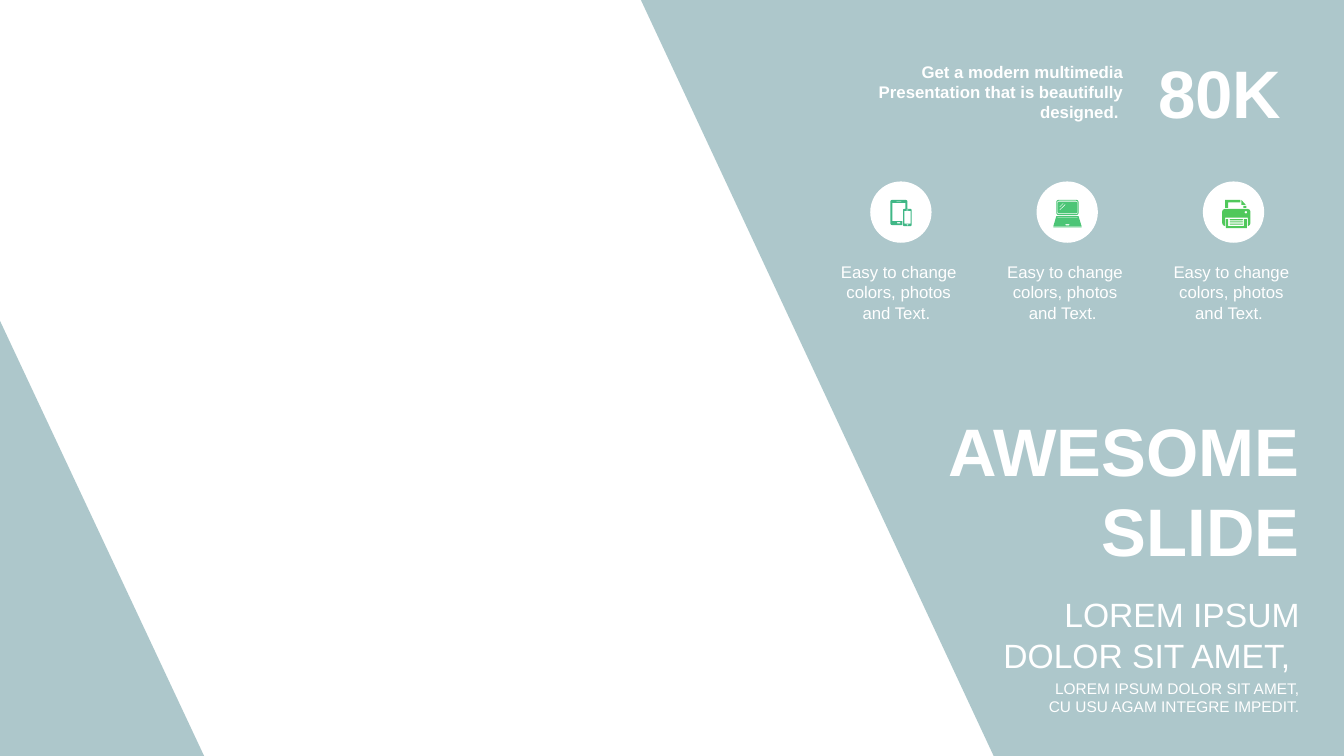
from math import cos, pi, sin

from lxml.etree import SubElement
from pptx import Presentation
from pptx.dml.color import RGBColor
from pptx.enum.shapes import MSO_SHAPE as Kind
from pptx.enum.text import MSO_ANCHOR as Anchor, MSO_AUTO_SIZE as Fit, PP_ALIGN as Align
from pptx.oxml.ns import qn
from pptx.util import Inches, Pt

WIDE, HIGH = Inches(13.333), Inches(7.5)
COLS, ROWS = 16, 9          # square grid cells
DOT = 0.012                 # icon unit, as a share of a cell
STEP = 1.98                 # columns from one feature to the next

HUES = {
    "teal": "32757F",
    "white": "FFFFFF",
    "tablet": "40B786",
    "laptop": "4CC576",
    "printer": "50C85B",
}


def col(n):
    return round(WIDE * n / COLS)


def row(n):
    return round(HIGH * n / ROWS)


def area(x, y, w, h):
    return col(x), row(y), col(w), row(h)


def paint(shape, hue, alpha=None):
    shape.shadow.inherit = False
    shape.line.fill.background()
    shape.fill.solid()
    shape.fill.fore_color.rgb = RGBColor.from_string(HUES[hue])
    if alpha:
        tint = shape.fill._xPr.find(qn("a:solidFill"))[0]
        SubElement(tint, qn("a:alpha")).set("val", str(alpha * 1000))


def solid(slide, kind, place, hue, alpha=None):
    shape = slide.shapes.add_shape(kind, *area(*place))
    paint(shape, hue, alpha)


def trace(slide, loops, hue, alpha=None):
    """Draw closed loops of grid points as one shape; inner loops are holes."""
    loops = [[(col(x), row(y)) for x, y in loop] for loop in loops]
    pen = slide.shapes.build_freeform(*loops[0][0], scale=1.0)
    for i, loop in enumerate(loops):
        if i:
            pen.move_to(*loop[0])
        pen.add_line_segments(loop[1:], close=True)
    paint(pen.convert_to_shape(), hue, alpha)


def write(slide, place, lines, size, bold=False, align=Align.RIGHT,
          anchor=Anchor.TOP, inset=(0.1, 0.05, 0.1, 0.05)):
    box = slide.shapes.add_textbox(*area(*place))
    frame = box.text_frame
    frame.word_wrap = True
    frame.auto_size = Fit.SHAPE_TO_FIT_TEXT
    frame.vertical_anchor = anchor
    (frame.margin_left, frame.margin_top,
     frame.margin_right, frame.margin_bottom) = map(Inches, inset)
    for i, line in enumerate(lines):
        para = frame.add_paragraph() if i else frame.paragraphs[0]
        para.alignment = align
        run = para.add_run()
        run.text = line
        font = run.font
        font.name, font.size, font.bold = "Arial", Pt(size), bold
        font.color.rgb = RGBColor.from_string(HUES["white"])


def block(l, t, r, b, rad=0):
    """Corner points of a box, with arcs where rad is given."""
    if not rad:
        return [(l, t), (r, t), (r, b), (l, b)]
    hubs = [(l + rad, t + rad), (r - rad, t + rad),
            (r - rad, b - rad), (l + rad, b - rad)]
    return [(x + rad * cos(pi * (1 + k / 2 + n / 8)),
             y + rad * sin(pi * (1 + k / 2 + n / 8)))
            for k, (x, y) in enumerate(hubs) for n in range(5)]


# Icon name, left offset in its circle, loops in icon units
ICONS = [
    ("tablet", 0.24, [
        [(0, 1.5), (0.5, 0.4), (1.5, 0), (15, 0), (16.5, 0.5), (17, 2),
         (17, 9), (15, 9), (15, 3), (2, 3), (2, 21), (12, 21), (12, 25),
         (1.5, 25), (0.4, 24.5), (0, 23.5)],
        block(6, 1.2, 11, 1.8, 0.3), block(6.5, 22.2, 10, 23.4, 0.5),
        block(12.6, 9, 21, 26, 1), block(13.8, 11, 20, 23.6),
        block(15.5, 9.8, 18, 10.4, 0.3), block(16, 24.3, 18, 25.2, 0.4),
    ]),
    ("laptop", 0.2, [
        block(3, 0, 25, 15, 2), block(3.8, 0.8, 24.2, 14.2, 1.7),
        block(4.4, 1.6, 23.6, 13.4, 1.4),
        [(6, 6.8), (9.7, 3), (10.2, 3.5), (6.5, 7.3)],
        [(6, 9.6), (11.7, 4.2), (12.3, 4.8), (6.6, 10.2)],
        [(3, 16), (25, 16), (28, 26), (0, 26)],
        block(4, 17, 24, 17.6), block(12, 24, 16, 25.2, 0.5),
        block(0, 26.6, 28, 27.3),
    ]),
    ("printer", 0.23, [
        [(3, 0), (18, 0), (18, 2.5), (6, 2.5), (6, 8), (3, 8)],
        [(19, 0), (23.5, 5), (19, 5)], block(21, 6, 24, 8),
        [(0, 11.5), (0.7, 9.7), (2.5, 9), (25.5, 9), (27.3, 9.7), (28, 11.5),
         (28, 23), (27.3, 25), (25.5, 26), (25.5, 17.5), (3, 17.5), (3, 26),
         (0.7, 25), (0, 23)],
        block(22.3, 11, 24.7, 13.4, 1.1),
        [(3.6, 19), (6, 19), (6, 26), (21.5, 26), (21.5, 19), (24.5, 19),
         (24.5, 28), (3.6, 28)],
        *[block(7.5, y, 20.5, y + 1.2, 0.5) for y in (19, 21.2, 23.4)],
    ]),
]


def feature(slide, i, name, inset, loops):
    left, top = 10.36 + i * STEP, 2.16
    solid(slide, Kind.OVAL, (left, top, 0.73, 0.73), "white")
    trace(slide, [[(left + inset + x * DOT, top + 0.22 + y * DOT)
                   for x, y in loop] for loop in loops], name)
    write(slide, (9.88 + i * STEP, 3.06, 1.64, 0.85),
          ["Easy to change colors, photos and Text. "], 12, align=Align.CENTER)


def main():
    deck = Presentation()
    deck.slide_width, deck.slide_height = WIDE, HIGH
    slide = deck.slides.add_slide(deck.slide_layouts[6])

    # Tinted sides
    trace(slide, [[(7.63, 0), (COLS, 0), (COLS, ROWS), (11.83, ROWS)]], "teal", 40)
    solid(slide, Kind.RIGHT_TRIANGLE, (0, 3.82, 2.43, 5.18), "teal", 40)

    # Title and captions
    mid = Anchor.MIDDLE
    write(slide, (10.91, 4.8, 4.68, 2.06), ["AWESOME", "SLIDE"], 48, True, anchor=mid)
    write(slide, (10.91, 8.02, 4.68, 0.56),
          ["LOREM IPSUM DOLOR SIT AMET,", "CU USU AGAM INTEGRE IMPEDIT."],
          11, anchor=mid)
    write(slide, (10.91, 7.01, 4.68, 1.09),
          ["LOREM IPSUM", "DOLOR SIT AMET, "], 24, anchor=mid)

    # Headline figure
    write(slide, (9.78, 0.67, 3.71, 0.85),
          ["Get a modern multimedia Presentation that is beautifully designed. "],
          12, True)
    write(slide, (13.63, 0.61, 1.66, 0.97), ["80K"], 48, True,
          inset=(0.05, 0, 0.03, 0))

    # Three features
    for i, icon in enumerate(ICONS):
        feature(slide, i, *icon)

    deck.save("out.pptx")


if __name__ == "__main__":
    main()
